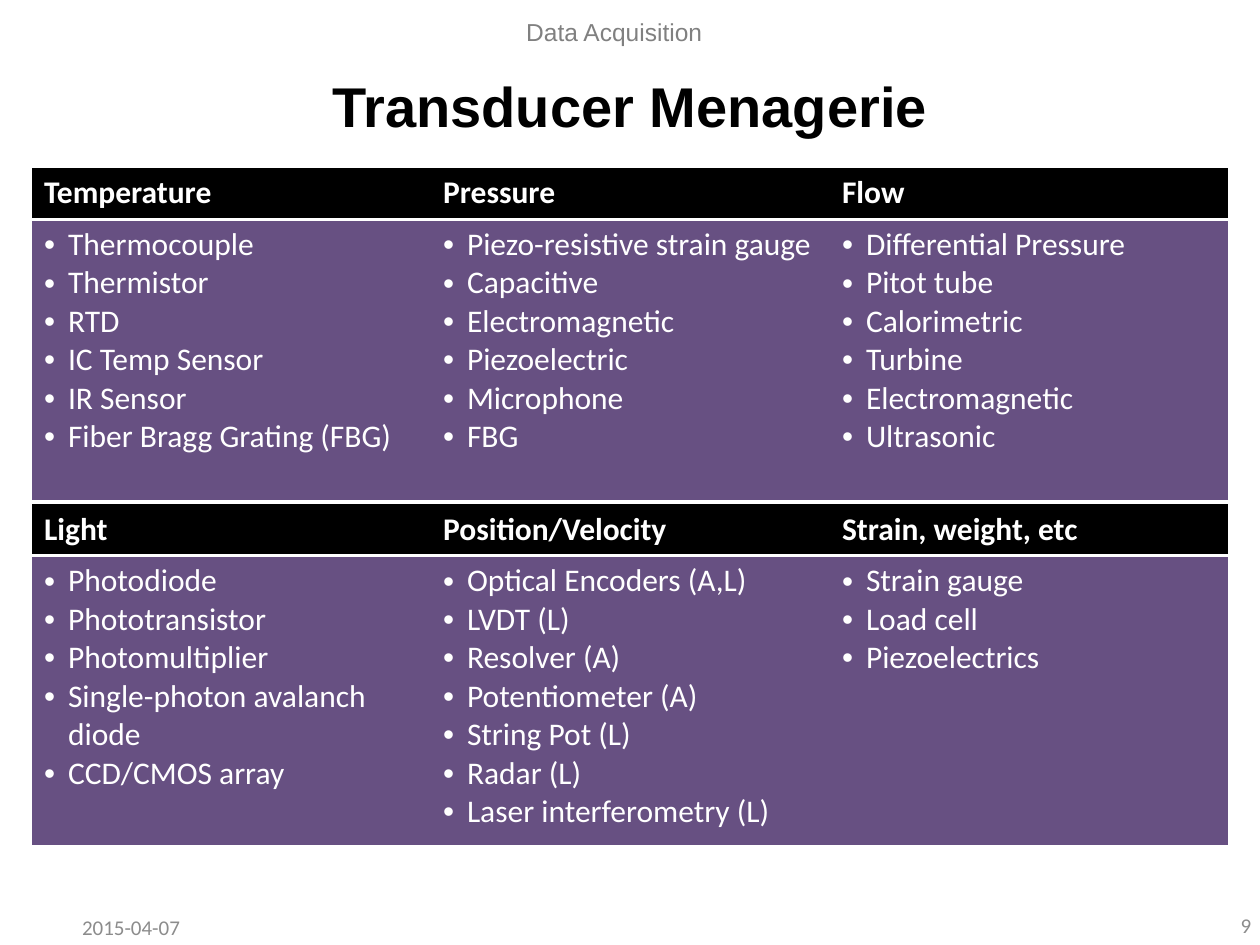
import pptx
import pptx.util
import pptx.dml.color
import pptx.enum.text
import pptx.oxml
import pptx.oxml.ns
from lxml import etree

Inches, Pt = pptx.util.Inches, pptx.util.Pt
ALIGN = pptx.enum.text.PP_ALIGN
MIDDLE = pptx.enum.text.MSO_ANCHOR.MIDDLE
NS = pptx.oxml.ns.nsdecls("a")
NO_GRID = "{2D5ABB26-0587-4C30-8999-92F81FD0307C}"


def color(code):
    return pptx.dml.color.RGBColor.from_string(code)


def write(para, text, code, look):
    run = para.add_run()
    run.text = text
    for name, value in look.items():
        setattr(run.font, name, value)
    run.font.color.rgb = color(code)


deck = pptx.Presentation()
deck.slide_width, deck.slide_height = Inches(10), Inches(7.5)
slide = deck.slides.add_slide(deck.slide_layouts[5])

# Title
title = slide.shapes.title
spot = {"left": 0.5, "top": 0.5, "width": 9, "height": 0.67}
for name, value in spot.items():
    setattr(title, name, Inches(value))
title.text_frame.vertical_anchor = MIDDLE
para = title.text_frame.paragraphs[0]
para.alignment = ALIGN.CENTER
write(para, "Transducer Menagerie", "000000",
      {"name": "Arial", "size": Pt(32), "bold": True})

# Date, header and page number
small = {"name": "Calibri", "size": Pt(12)}
notes = [
    ("2015-04-07", (0.5, 7.16, 1.08, 0.4), ALIGN.CENTER, "8C8C8C", small),
    ("Data Acquisition", (3, 0.05, 3.75, 0.4), ALIGN.CENTER, "808080",
     {"name": "Arial", "size": Pt(14)}),
    ("9", (7.7, 7.13, 2.33, 0.42), ALIGN.RIGHT, "8C8C8C", small),
]
for text, place, align, code, look in notes:
    frame = slide.shapes.add_textbox(*map(Inches, place)).text_frame
    frame.word_wrap = True
    frame.vertical_anchor = MIDDLE
    frame.paragraphs[0].alignment = align
    write(frame.paragraphs[0], text, code, look)

# Tables: top, body height, then each heading with its list
tables = [
    (1.33, 2.23, {
        "Temperature": ["Thermocouple", "Thermistor", "RTD", "IC Temp Sensor",
                        "IR Sensor", "Fiber Bragg Grating (FBG)"],
        "Pressure": ["Piezo-resistive strain gauge", "Capacitive",
                     "Electromagnetic", "Piezoelectric", "Microphone", "FBG"],
        "Flow": ["Differential Pressure", "Pitot tube", "Calorimetric",
                 "Turbine", "Electromagnetic", "Ultrasonic"],
    }),
    (4, 2.3, {
        "Light": ["Photodiode", "Phototransistor", "Photomultiplier",
                  "Single-photon avalanch diode", "CCD/CMOS array"],
        "Position/Velocity": ["Optical Encoders (A,L)", "LVDT (L)",
                              "Resolver (A)", "Potentiometer (A)",
                              "String Pot (L)", "Radar (L)",
                              "Laser interferometry (L)"],
        "Strain, weight, etc": ["Strain gauge", "Load cell", "Piezoelectrics"],
    }),
]
head = 0.41
for top, body, groups in tables:
    frame = slide.shapes.add_table(2, len(groups), Inches(0.25), Inches(top),
                                   Inches(9.5), Inches(head + body))
    table = frame.table
    table._tbl.tblPr.find(pptx.oxml.ns.qn("a:tableStyleId")).text = NO_GRID
    table.rows[0].height, table.rows[1].height = Inches(head), Inches(body)

    for col, (name, items) in enumerate(groups.items()):
        for row, lines in enumerate([[name], items]):
            cell = table.cell(row, col)
            cell.fill.solid()
            cell.fill.fore_color.rgb = color(["000000", "675082"][row])
            look = {"name": "Calibri", "size": Pt(18), "bold": row == 0}
            for num, line in enumerate(lines):
                frame = cell.text_frame
                para = frame.add_paragraph() if num else frame.paragraphs[0]
                write(para, line, "FFFFFF", look)
                if row == 1:
                    props = para._p.get_or_add_pPr()
                    props.set("marL", str(Inches(0.19)))
                    props.set("indent", str(-Inches(0.19)))
                    etree.SubElement(props, pptx.oxml.ns.qn("a:buFont"),
                                     typeface="Arial")
                    etree.SubElement(props, pptx.oxml.ns.qn("a:buChar"),
                                     char="•")

        # White rule under the heading
        rule = pptx.oxml.parse_xml(
            f'<a:lnB {NS} w="{Pt(2)}"><a:solidFill>'
            '<a:srgbClr val="FFFFFF"/></a:solidFill></a:lnB>')
        table.cell(0, col)._tc.get_or_add_tcPr().insert(0, rule)

deck.save("out.pptx")
